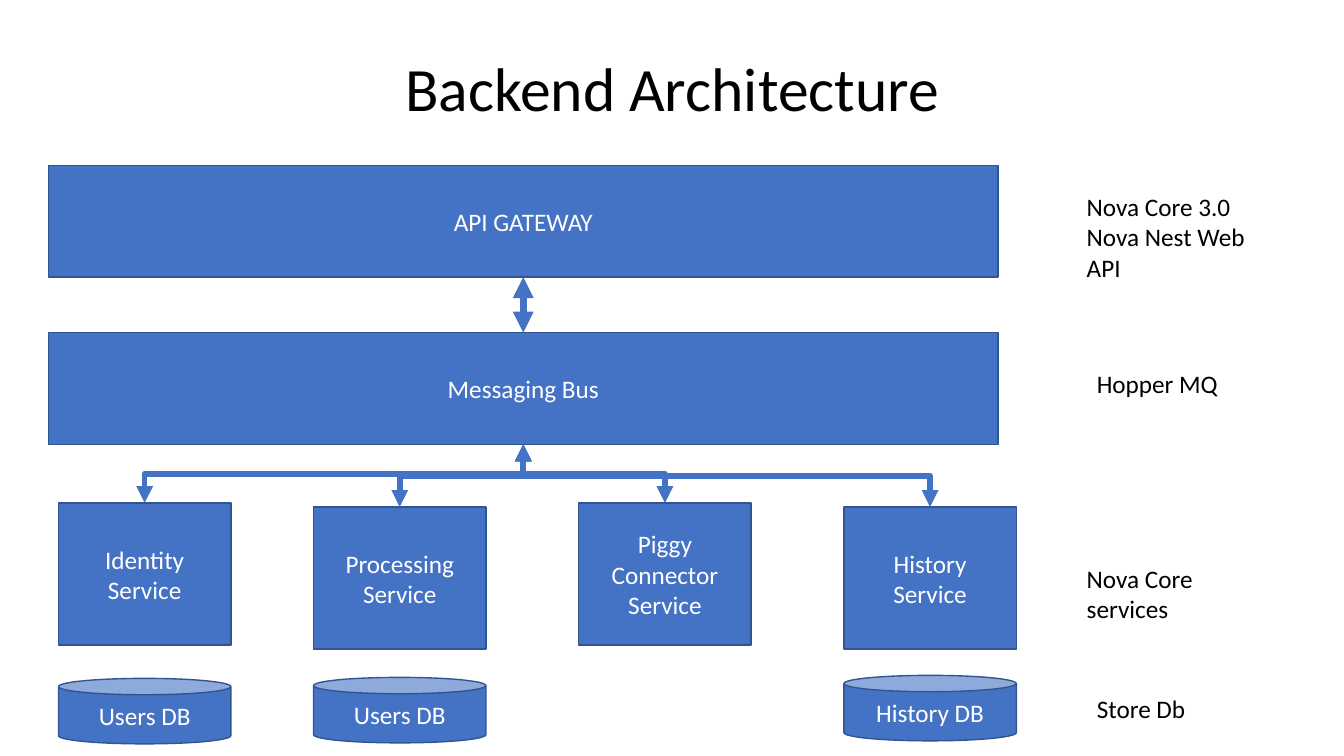
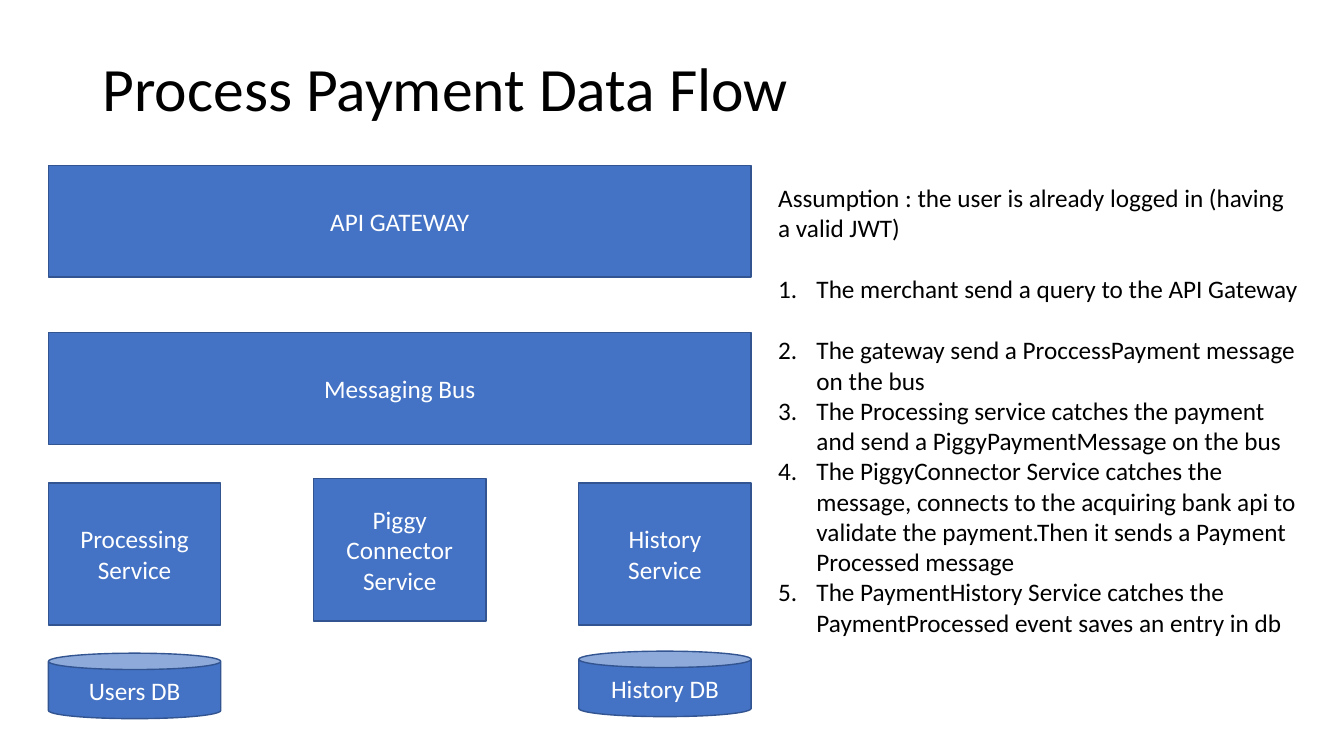
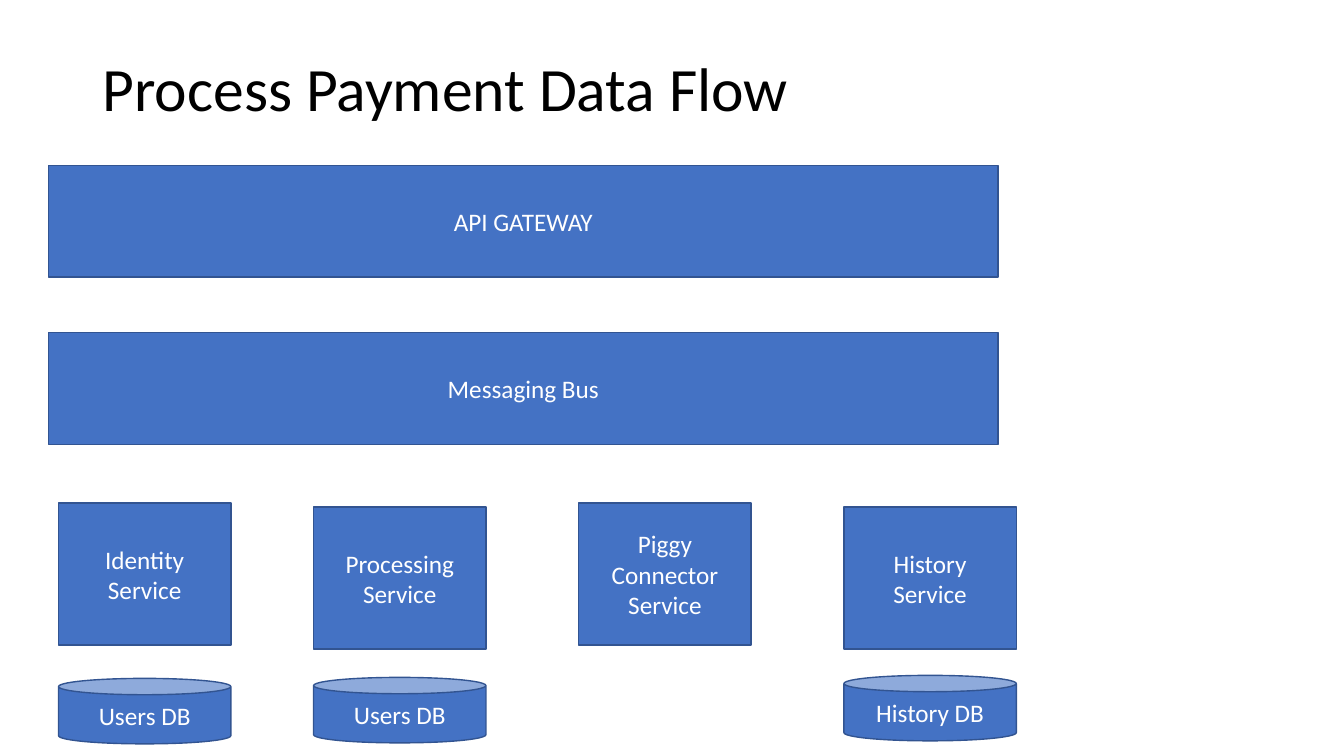
from collections import namedtuple

from lxml import etree
from pptx import Presentation
from pptx import util as u
from pptx.dml.color import RGBColor
from pptx.enum import shapes, text
from pptx.oxml import ns

WIDTH, HEIGHT = 13.33, 7.5
FONT = "Calibri"
BLUE, OUTLINE, BLACK, WHITE = "4472C4", "325491", "000000", "FFFFFF"

LEFT, STEP = 0.48, 2.63
GATEWAY_TOP, BUS_TOP, BAR_HEIGHT = 1.64, 3.3, 1.11
BUS_BOTTOM = BUS_TOP + BAR_HEIGHT
SERVICE_WIDTH, SERVICE_HEIGHT = 1.71, 1.41
DB_GAP, DB_HEIGHT = 1.71, 0.65
BODY_SIZE, BODY_LINE = 18, 22
WIDE_BAR = 9.42

Service = namedtuple("Service", "label column nudge drop db db_drop")
IDENTITY = Service("Identity\nService", 0, 0.1, 0, "Users DB", 0.03)
PROCESSING = Service("Processing\nService", 1, 0, 0.04, "Users DB", 0.02)
CONNECTOR = Service("Piggy Connector\nService", 2, 0, 0, None, 0)
HISTORY = Service("History\nService", 3, 0, 0.04, "History DB", 0)
ALL_SERVICES = [IDENTITY, PROCESSING, CONNECTOR, HISTORY]

TECHNOLOGIES = [
    (10.68, 1.85, "Nova Core 3.0\nNova Nest Web API"),
    (10.78, 3.6, "Hopper MQ"),
    (10.68, 5.54, "Nova Core services"),
    (10.78, 6.83, "Store Db"),
]
ASSUMPTION = "Assumption : the user is already logged in (having a valid JWT)"
STEPS = [
    "The merchant send a query to the API Gateway",
    "The gateway send a ProccessPayment message on the bus",
    "The Processing service catches the payment and send a PiggyPaymentMessage on the bus",
    "The PiggyConnector Service catches the message, connects to the acquiring bank api "
    "to validate the payment.Then it sends a Payment Processed message",
    "The PaymentHistory Service catches the PaymentProcessed event saves an entry in db",
]


def color(value):
    return RGBColor.from_string(value)


def inches(*lengths):
    return [u.Inches(length) for length in lengths]


def write(frame, content, size=BODY_SIZE, ink=BLACK, align=text.PP_ALIGN.LEFT):
    frame.word_wrap = True
    frame.text = content
    for paragraph in frame.paragraphs:
        paragraph.alignment = align
        paragraph.font.name = FONT
        paragraph.font.size = u.Pt(size)
        paragraph.font.color.rgb = color(ink)


def add_text(slide, left, top, width, height, content, **style):
    frame = slide.shapes.add_textbox(*inches(left, top, width, height)).text_frame
    write(frame, content, **style)
    return frame


def add_title(slide, content, align=text.PP_ALIGN.LEFT):
    frame = add_text(slide, 0.92, 0.18, 11.5, 1.45, content, size=44, align=align)
    frame.vertical_anchor = text.MSO_ANCHOR.MIDDLE
    frame.paragraphs[0].line_spacing = 0.9


def add_block(slide, left, top, width, height, label, kind=shapes.MSO_SHAPE.RECTANGLE):
    block = slide.shapes.add_shape(kind, *inches(left, top, width, height))
    block.shadow.inherit = False
    block.fill.solid()
    block.fill.fore_color.rgb = color(BLUE)
    block.line.color.rgb = color(OUTLINE)
    block.line.width = u.Pt(1)
    block.text_frame.vertical_anchor = text.MSO_ANCHOR.MIDDLE
    write(block.text_frame, label, ink=WHITE, align=text.PP_ALIGN.CENTER)


def service_left(service, first=0):
    return LEFT + (service.column - first) * STEP + service.nudge


def add_layers(slide, services, bar_width, row):
    add_block(slide, LEFT, GATEWAY_TOP, bar_width, BAR_HEIGHT, "API GATEWAY")
    add_block(slide, LEFT, BUS_TOP, bar_width, BAR_HEIGHT, "Messaging Bus")
    first = services[0].column
    for service in services:
        left = service_left(service, first)
        add_block(slide, left, row + service.drop, SERVICE_WIDTH, SERVICE_HEIGHT, service.label)
        if service.db:
            add_block(slide, left, row + DB_GAP + service.db_drop, SERVICE_WIDTH, DB_HEIGHT,
                      service.db, shapes.MSO_SHAPE.CAN)


def add_arrow(slide, kind, start, end, weight):
    arrow = slide.shapes.add_connector(kind, *inches(*start, *end))
    arrow.line.color.rgb = color(BLUE)
    arrow.line.width = u.Pt(weight)
    outline = arrow.line._get_or_add_ln()
    for tip in ("a:headEnd", "a:tailEnd"):
        etree.SubElement(outline, ns.qn(tip), type="triangle")
    etree.SubElement(arrow._element.spPr, ns.qn("a:effectLst"))
    return arrow


def add_bus_link(slide, service_x, service_y, bus_x):
    rise, run = service_y - BUS_BOTTOM, abs(bus_x - service_x)
    center_x, center_y = (service_x + bus_x) / 2, (service_y + BUS_BOTTOM) / 2
    side = 1 if service_x < bus_x else -1
    start = center_x + side * rise / 2, center_y + run / 2
    end = center_x - side * rise / 2, center_y - run / 2
    link = add_arrow(slide, shapes.MSO_CONNECTOR.ELBOW, start, end, 4)
    quarter_turns = 1 if side > 0 else 3
    link._element.spPr.find(ns.qn("a:xfrm")).set("rot", str(quarter_turns * 90 * 60000))


def number(paragraph):
    properties = paragraph._p.get_or_add_pPr()
    indent = u.Inches(0.38)
    properties.set("marL", str(indent))
    properties.set("indent", str(-indent))
    etree.SubElement(properties, ns.qn("a:buFont"), typeface="+mj-lt")
    etree.SubElement(properties, ns.qn("a:buAutoNum"), type="arabicPeriod")


def add_steps(slide):
    frame = add_text(slide, 7.62, 1.76, 5.36, 5.25, "\n".join([ASSUMPTION, *STEPS]))
    steps = frame.paragraphs[1:]
    steps[0].space_before = steps[0].space_after = u.Pt(BODY_LINE)
    for step in steps:
        number(step)


def architecture(slide):
    row = 4.99
    add_title(slide, "Backend Architecture", text.PP_ALIGN.CENTER)
    add_layers(slide, ALL_SERVICES, WIDE_BAR, row)
    middle = LEFT + WIDE_BAR / 2
    add_arrow(slide, shapes.MSO_CONNECTOR.STRAIGHT,
              (middle, GATEWAY_TOP + BAR_HEIGHT), (middle, BUS_TOP), 5)
    for service in ALL_SERVICES:
        service_x = service_left(service) + SERVICE_WIDTH / 2
        add_bus_link(slide, service_x, row + service.drop, middle)
    for left, top, label in TECHNOLOGIES:
        add_text(slide, left, top, 2.07, 0.4, label)


def payment_steps(slide):
    add_title(slide, "Process Payment Data Flow")
    add_layers(slide, ALL_SERVICES[1:], 2 * STEP + SERVICE_WIDTH, 4.75)
    add_steps(slide)


def payment_services(slide):
    add_title(slide, "Process Payment Data Flow")
    add_layers(slide, ALL_SERVICES, WIDE_BAR, 4.99)


def main():
    deck = Presentation()
    deck.slide_width, deck.slide_height = inches(WIDTH, HEIGHT)
    for build in (architecture, payment_steps, payment_services):
        build(deck.slides.add_slide(deck.slide_layouts[6]))
    deck.save("out.pptx")


if __name__ == "__main__":
    main()
